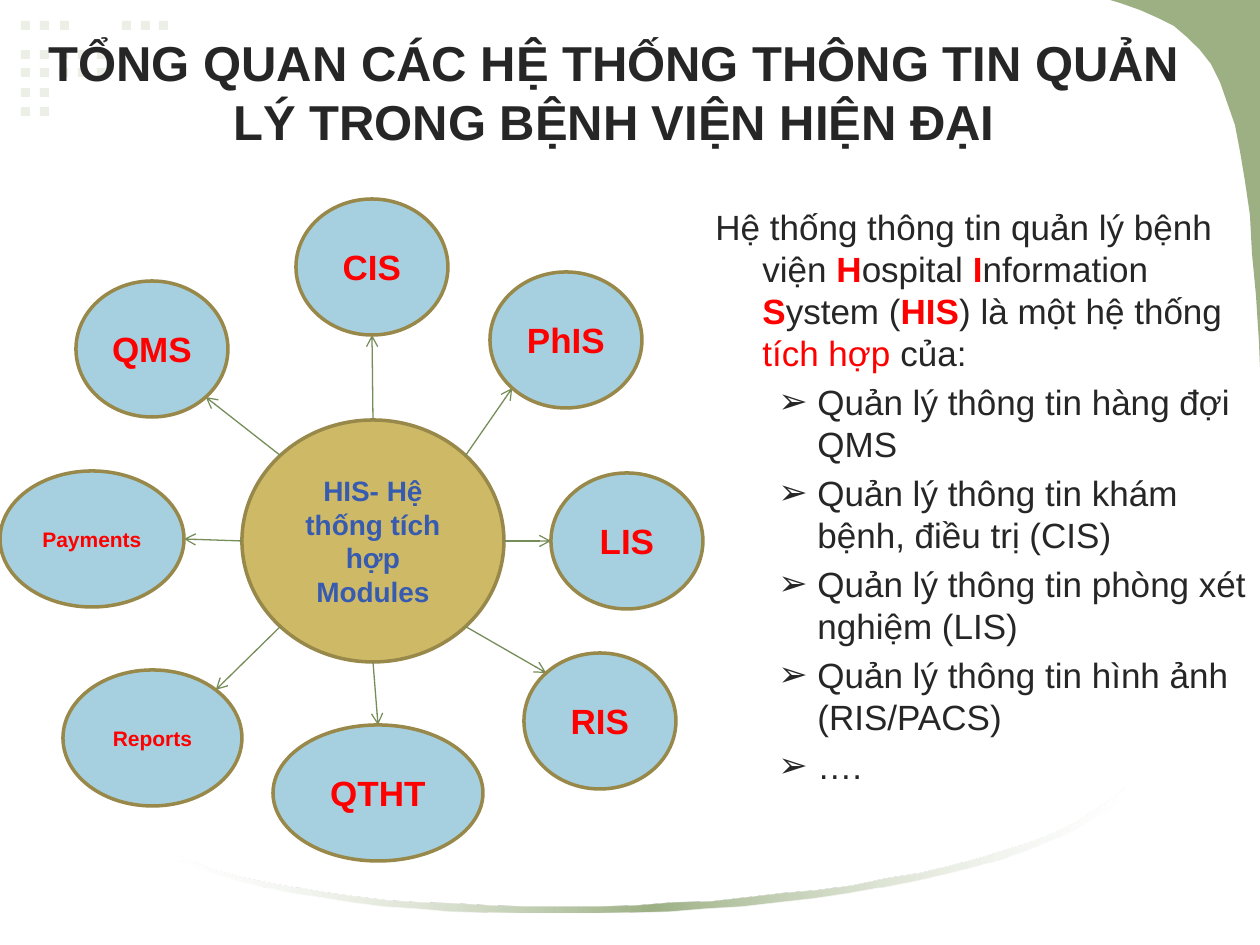
from lxml import etree
from pptx import Presentation
from pptx.dml.color import RGBColor
from pptx.enum.shapes import MSO_CONNECTOR, MSO_SHAPE
from pptx.enum.text import MSO_ANCHOR, PP_ALIGN
from pptx.oxml import parse_xml
from pptx.oxml.ns import nsdecls, qn
from pptx.util import Emu, Pt

RECTANGLE, OVAL = MSO_SHAPE.RECTANGLE, MSO_SHAPE.OVAL
STRAIGHT = MSO_CONNECTOR.STRAIGHT
MIDDLE, CENTER = MSO_ANCHOR.MIDDLE, PP_ALIGN.CENTER

EMU_PER_PX = 914400 / 126
FONT = "Arial"
COLORS = {
    "dot": "EBEFE6", "green": "9CB084", "white": "FFFFFF", "hub": "CEB966",
    "module": "A6D0DF", "outline": "98894B", "arrow": "768D5A",
    "hub_text": "375BB0", "red": "FF0000", "text": "262626",
}

DOT_ROWS = [
    (21, [21, 40, 60, 122, 141, 159]),
    (50, [21, 40, 59, 78, 97]),
    (68, [21, 40, 59, 78, 97]),
    (88, [21, 40]),
    (107, [21, 40]),
]
CORNER = [
    (1110, 0), (1260, 0), (1260, 367), (1259, 341), (1256, 295), (1252, 253),
    (1250, 215), (1245, 181), (1240, 151), (1235, 125), (1227, 102), (1220, 82),
    (1211, 64), (1200, 50), (1188, 38), (1174, 26), (1158, 18), (1140, 10), (1120, 3),
]
SWOOSH = [
    (1124, 788), (1124, 796), (1110, 808), (1092, 819), (1074, 830), (1052, 840),
    (1028, 850), (1002, 859), (974, 867), (945, 874), (914, 881), (882, 887),
    (848, 893), (814, 898), (777, 902), (742, 906), (706, 908), (669, 911),
    (631, 912), (595, 913), (558, 913), (522, 913), (485, 912), (450, 911),
    (416, 908), (383, 906), (352, 902), (321, 897), (292, 893), (265, 887),
    (241, 881), (217, 874), (197, 867), (179, 859), (179, 856), (197, 863),
    (218, 871), (242, 877), (267, 882), (295, 887), (324, 892), (354, 896),
    (387, 900), (420, 902), (455, 903), (490, 905), (525, 906), (562, 906),
    (600, 906), (636, 905), (673, 902), (711, 901), (747, 897), (782, 893),
    (818, 890), (852, 885), (886, 878), (919, 873), (949, 866), (978, 858),
    (1005, 850), (1031, 842), (1055, 832), (1076, 822), (1092, 811), (1110, 800),
]

HUB = (242, 420, 262, 242)
# label, size in points, box, direction from the hub
MODULES = [
    ("CIS", 20, (296, 199, 152, 136), (0, -1)),
    ("QMS", 20, (76, 281, 152, 136), (-1, -1)),
    ("PhIS", 20, (490, 272, 152, 136), (1, -1)),
    ("QTHT", 20, (273, 725, 210, 136), (0, 1)),
    ("LIS", 20, (551, 473, 152, 136), (1, 0)),
    ("RIS", 20, (524, 653, 152, 136), (1, 1)),
    ("Payments", 12, (0, 471, 184, 136), (-1, 0)),
    ("Reports", 12, (63, 670, 179, 136), (-1, 1)),
]

TITLE = "TỔNG QUAN CÁC HỆ THỐNG THÔNG TIN QUẢN LÝ TRONG BỆNH VIỆN HIỆN ĐẠI"
# text, colour, bold
INTRO = [
    ("Hệ thống thông tin quản lý bệnh viện ", "text", False),
    ("H", "red", True), ("ospital ", "text", False),
    ("I", "red", True), ("nformation ", "text", False),
    ("S", "red", True), ("ystem (", "text", False),
    ("HIS", "red", True), (") là một hệ thống ", "text", False),
    ("tích hợp", "red", False), (" của:", "text", False),
]
BULLETS = [
    "Quản lý thông tin hàng đợi QMS",
    "Quản lý thông tin khám bệnh, điều trị (CIS)",
    "Quản lý thông tin phòng xét nghiệm (LIS)",
    "Quản lý thông tin hình ảnh (RIS/PACS)",
    "….",
]


def px(length):
    return Emu(round(length * EMU_PER_PX))


def rgb(name):
    return RGBColor.from_string(COLORS[name])


def set_font(font, size, color, bold=False):
    font.name, font.size, font.bold = FONT, Pt(size), bold
    font.color.rgb = rgb(color)


def paint(shape, fill, outline=None):
    shape.shadow.inherit = False
    shape.fill.solid()
    shape.fill.fore_color.rgb = rgb(fill)
    if outline:
        shape.line.color.rgb = rgb(outline)
        shape.line.width = Pt(2)
    else:
        shape.line.fill.background()


def add_dots(slide):
    for top, lefts in DOT_ROWS:
        for left in lefts:
            dot = slide.shapes.add_shape(RECTANGLE, px(left), px(top), px(9), px(9))
            paint(dot, "dot")


def add_outline(slide, points, fill):
    builder = slide.shapes.build_freeform(*points[0], scale=EMU_PER_PX)
    builder.add_line_segments(points[1:], close=True)
    shape = builder.convert_to_shape()
    paint(shape, fill)
    return shape


def fade_ends(shape):
    """Replace the solid fill with a gradient that fades out left and right."""
    end = f'<a:srgbClr val="{COLORS["white"]}"><a:alpha val="30000"/></a:srgbClr>'
    gradient = parse_xml(
        f'<a:gradFill {nsdecls("a")} rotWithShape="1"><a:gsLst>'
        f'<a:gs pos="0">{end}</a:gs>'
        f'<a:gs pos="50000"><a:srgbClr val="{COLORS["green"]}"/></a:gs>'
        f'<a:gs pos="100000">{end}</a:gs>'
        '</a:gsLst><a:lin ang="0" scaled="1"/></a:gradFill>')
    properties = shape._element.spPr
    properties.replace(properties.find(qn("a:solidFill")), gradient)


def add_oval(slide, box, label, fill, size, color, wrap):
    oval = slide.shapes.add_shape(OVAL, *map(px, box))
    paint(oval, fill, "outline")
    frame = oval.text_frame
    frame.word_wrap = wrap
    frame.vertical_anchor = MIDDLE
    para = frame.paragraphs[0]
    para.text, para.alignment = label, CENTER
    set_font(para.font, size, color, bold=True)


def rim_point(box, direction):
    """Point on an oval's rim in one of the eight compass directions."""
    left, top, width, height = box
    across, down = direction
    reach = 0.5 / (across ** 2 + down ** 2) ** 0.5
    return (px(left + width * (0.5 + across * reach)),
            px(top + height * (0.5 + down * reach)))


def add_arrow(slide, start, end):
    arrow = slide.shapes.add_connector(STRAIGHT, *start, *end)
    arrow.line.color.rgb = rgb("arrow")
    arrow.line.width = Pt(0.75)
    etree.SubElement(arrow.line._get_or_add_ln(), qn("a:tailEnd"), type="arrow")
    etree.SubElement(arrow._element.spPr, qn("a:effectLst"))


def add_text_frame(slide, box):
    frame = slide.shapes.add_textbox(*map(px, box)).text_frame
    frame.word_wrap = True
    return frame


def set_indent(para, margin, hanging, bullet=None):
    properties = para._p.get_or_add_pPr()
    properties.set("marL", str(px(margin)))
    properties.set("indent", str(-px(hanging)))
    if bullet:
        etree.SubElement(properties, qn("a:buFont"), typeface=FONT)
        etree.SubElement(properties, qn("a:buChar"), char=bullet)


def add_title(slide):
    frame = add_text_frame(slide, (0, 16, 1228, 151))
    frame.vertical_anchor = MIDDLE
    para = frame.paragraphs[0]
    para.text, para.alignment = TITLE, CENTER
    set_font(para.font, 28, "text", bold=True)


def add_description(slide):
    frame = add_text_frame(slide, (703, 199, 557, 651))
    intro = frame.paragraphs[0]
    set_indent(intro, 47, 47)
    for text, color, bold in INTRO:
        span = intro.add_run()
        span.text = text
        set_font(span.font, 20, color, bold)
    for text in BULLETS:
        para = frame.add_paragraph()
        para.text, para.level = text, 1
        para.space_before = Pt(4)
        set_indent(para, 102, 39, "➢")
        set_font(para.font, 20, "text")


def main():
    deck = Presentation()
    deck.slide_width, deck.slide_height = px(1260), px(945)
    slide = deck.slides.add_slide(deck.slide_layouts[6])
    add_dots(slide)
    add_outline(slide, CORNER, "green")
    fade_ends(add_outline(slide, SWOOSH, "green"))
    add_oval(slide, HUB, "HIS- Hệ thống tích hợp Modules", "hub", 16, "hub_text", True)
    for label, size, box, (across, down) in MODULES:
        add_arrow(slide, rim_point(HUB, (across, down)), rim_point(box, (-across, -down)))
        add_oval(slide, box, label, "module", size, "red", False)
    add_description(slide)
    add_title(slide)
    deck.save("out.pptx")


if __name__ == "__main__":
    main()
